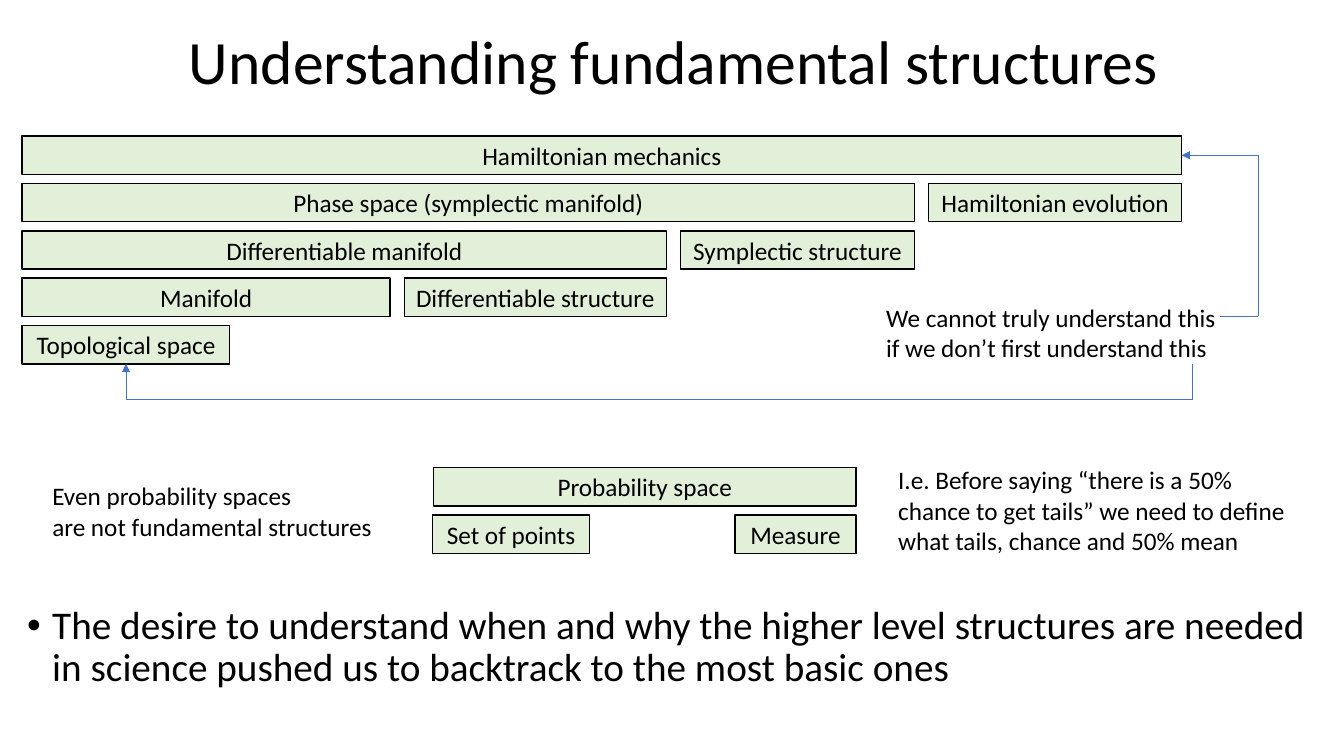
from lxml import etree
from pptx import Presentation
from pptx.dml.color import RGBColor
from pptx.enum.shapes import MSO_CONNECTOR, MSO_SHAPE
from pptx.enum.text import MSO_ANCHOR, MSO_AUTO_SIZE, PP_ALIGN
from pptx.oxml.ns import qn
from pptx.util import Pt

PX = 9144  # EMU, 100 px to the inch
BLACK = RGBColor(0x00, 0x00, 0x00)
PALE_GREEN = RGBColor(0xE2, 0xF0, 0xD9)
BLUE = RGBColor(0x44, 0x72, 0xC4)
STRAIGHT = MSO_CONNECTOR.STRAIGHT
RECTANGLE = MSO_SHAPE.RECTANGLE
LEFT, CENTER = PP_ALIGN.LEFT, PP_ALIGN.CENTER
TOP, MIDDLE = MSO_ANCHOR.TOP, MSO_ANCHOR.MIDDLE
FIT_SHAPE = MSO_AUTO_SIZE.SHAPE_TO_FIT_TEXT
BOTTOM_SIDE, RIGHT_SIDE = 2, 3

BLOCK_HEIGHT = 38
ROW_STEP = 47
BLOCK_GAP = 14
STACK_LEFT, STACK_TOP = 22, 135

# Each structure, its right edge, and what is added to it to get the one above
LAYERS = [
    ("Hamiltonian mechanics", 1172, None),
    ("Phase space (symplectic manifold)", 907, "Hamiltonian evolution"),
    ("Differentiable manifold", 661, "Symplectic structure"),
    ("Manifold", 387, "Differentiable structure"),
    ("Topological space", 228, None),
]
PROBABILITY_BLOCKS = [
    ("Probability space", 430, 464, 419),
    ("Set of points", 429, 511, 156),
    ("Measure", 729, 511, 120),
]


class StructureSlide:
    def __init__(self, slide):
        self.shapes = slide.shapes
        self.font = {"name": "Calibri", "size": Pt(18)}

    def fill_frame(self, frame, lines, align=LEFT, **font):
        for index, line in enumerate(lines):
            paragraph = frame.add_paragraph() if index else frame.paragraphs[0]
            paragraph.text = line
            paragraph.alignment = align
            for run in paragraph.runs:
                run.font.color.rgb = BLACK
                for key, value in {**self.font, **font}.items():
                    setattr(run.font, key, value)

    def block(self, label, left, top, width):
        block = self.shapes.add_shape(
            RECTANGLE, left * PX, top * PX, width * PX, BLOCK_HEIGHT * PX)
        block.shadow.inherit = False
        block.fill.solid()
        block.fill.fore_color.rgb = PALE_GREEN
        block.line.color.rgb = BLACK
        block.line.width = Pt(1)
        block.text_frame.vertical_anchor = MIDDLE
        self.fill_frame(block.text_frame, [label], CENTER)
        return block

    def text(self, lines, left, top, width, height, frame_format=None,
             align=LEFT, **font):
        box = self.shapes.add_textbox(
            left * PX, top * PX, width * PX, height * PX)
        frame = box.text_frame
        settings = {"word_wrap": True, "vertical_anchor": TOP,
                    **(frame_format or {})}
        for key, value in settings.items():
            setattr(frame, key, value)
        self.fill_frame(frame, lines, align, **font)
        return frame.paragraphs

    def bullet(self, line, left, top, width, height, size):
        paragraph = self.text([line], left, top, width, height, size=size)[0]
        properties = paragraph._p.get_or_add_pPr()
        properties.set("marL", str(25 * PX))
        properties.set("indent", str(-25 * PX))
        etree.SubElement(properties, qn("a:buFont")).set("typeface", "Arial")
        etree.SubElement(properties, qn("a:buChar")).set("char", "•")
        paragraph.line_spacing = 0.9

    def arrow(self, points, target, side):
        """Draw a line through points, with its head joined to a side of target."""
        for (x1, y1), (x2, y2) in zip(points, points[1:]):
            segment = self.shapes.add_connector(
                STRAIGHT, x1 * PX, y1 * PX, x2 * PX, y2 * PX)
            segment.line.color.rgb = BLUE
            segment.line.width = Pt(0.5)
            etree.SubElement(segment._element.spPr, qn("a:effectLst"))
        outline = segment._element.spPr.find(qn("a:ln"))
        etree.SubElement(outline, qn("a:tailEnd")).set("type", "triangle")
        segment.end_connect(target, side)


def main():
    deck = Presentation()
    deck.slide_width, deck.slide_height = 1333 * PX, 750 * PX
    page = StructureSlide(deck.slides.add_slide(deck.slide_layouts[6]))

    title = page.text(["Understanding fundamental structures"], 21, 15, 1295, 98,
                      {"vertical_anchor": MIDDLE}, CENTER, size=Pt(44))
    title[0].line_spacing = 0.9

    structures = []
    edge_above = None
    for row, (structure, edge, addition) in enumerate(LAYERS):
        top = STACK_TOP + row * ROW_STEP
        structures.append(
            page.block(structure, STACK_LEFT, top, edge - STACK_LEFT))
        if addition:
            start = edge + BLOCK_GAP
            page.block(addition, start, top, edge_above - start)
        edge_above = edge

    fitted = {"word_wrap": False, "auto_size": FIT_SHAPE}
    page.text(["We cannot truly understand this\vif we don’t first understand this"],
              869, 295, 351, 71, fitted)
    page.arrow([(1210, 314), (1248, 314), (1248, 154), (1172, 154)],
               structures[0], RIGHT_SIDE)
    page.arrow([(1183, 361), (1183, 396), (125, 396), (125, 361)],
               structures[-1], BOTTOM_SIDE)

    for label, left, top, width in PROBABILITY_BLOCKS:
        page.block(label, left, top, width)
    page.text(["Even probability spaces", "are not fundamental structures"],
              42, 472, 341, 71, fitted)
    page.text(["I.e. Before saying “there is a 50% chance to get tails” we need to "
               "define what tails, chance and 50% mean"],
              881, 456, 426, 101, {"auto_size": FIT_SHAPE})

    page.bullet("The desire to understand when and why the higher level structures "
                "are needed in science pushed us to backtrack to the most basic ones",
                17, 596, 1297, 144, Pt(28))
    deck.save("out.pptx")


if __name__ == "__main__":
    main()
